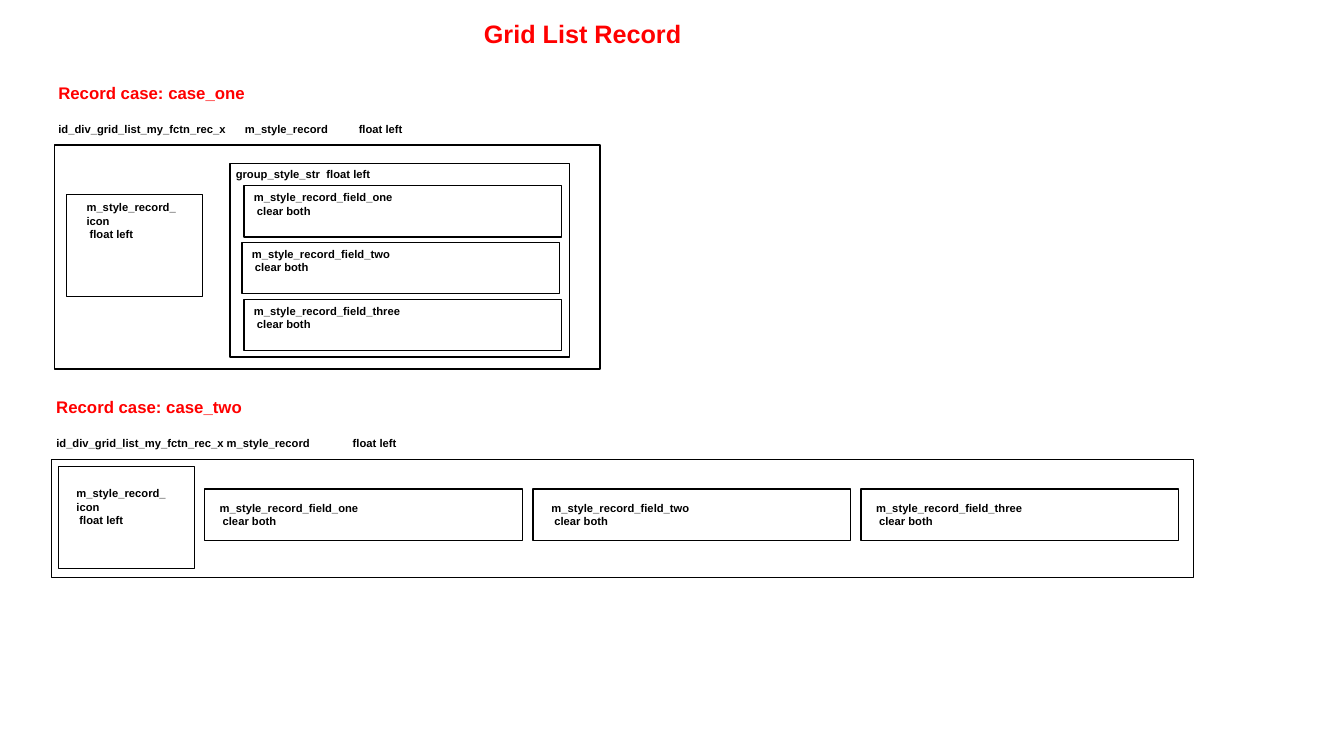
import pptx
import pptx.dml.color
import pptx.enum.shapes
import pptx.enum.text
import pptx.oxml
import pptx.oxml.ns
import pptx.util

Inches = pptx.util.Inches
RED = pptx.dml.color.RGBColor(0xFF, 0x00, 0x00)
BLACK = pptx.dml.color.RGBColor(0x00, 0x00, 0x00)
FIELDS = ("one", "two", "three")
ICON_LINES = ("m_style_record_icon", "float left")


def write(frame, text, *, size=8, color=BLACK, font="Arial", align=None, tabs=()):
    frame.text = text
    for number, paragraph in enumerate(frame.paragraphs):
        paragraph.alignment = align
        paragraph.font.size = pptx.util.Pt(size)
        paragraph.font.bold = True
        for run in paragraph.runs:
            run.font.name = font
            run.font.size = pptx.util.Pt(size)
            run.font.bold = True
            run.font.color.rgb = color
        properties = paragraph._p.get_or_add_pPr()
        if number:
            properties.set("marL", str(Inches(0.03)))
        if tabs:
            stops = pptx.oxml.parse_xml(
                "<a:tabLst %s/>" % pptx.oxml.ns.nsdecls("a"))
            for position in tabs:
                stop = pptx.oxml.parse_xml(
                    "<a:tab %s/>" % pptx.oxml.ns.nsdecls("a"))
                stop.set("pos", str(Inches(position)))
                stop.set("algn", "l")
                stops.append(stop)
            properties.insert_element_before(stops, "a:defRPr", "a:extLst")


class RecordSlide:
    def __init__(self, slide, line_color=BLACK, line_width=1):
        self.shapes = slide.shapes
        self.line_color = line_color
        self.line_width = pptx.util.Pt(line_width)

    def box(self, left, top, width, height):
        outline = self.shapes.add_shape(
            pptx.enum.shapes.MSO_SHAPE.RECTANGLE,
            Inches(left), Inches(top), Inches(width), Inches(height))
        outline.shadow.inherit = False
        outline.fill.background()
        outline.line.color.rgb = self.line_color
        outline.line.width = self.line_width

    def label(self, left, top, width, height, text, margin_right=0.1, **style):
        label = self.shapes.add_textbox(
            Inches(left), Inches(top), Inches(width), Inches(height))
        frame = label.text_frame
        frame.word_wrap = True
        frame.auto_size = pptx.enum.text.MSO_AUTO_SIZE.SHAPE_TO_FIT_TEXT
        frame.margin_right = Inches(margin_right)
        write(frame, text, **style)

    def heading(self, left, top, case):
        self.label(left, top, 3.34, 0.3, f"Record case: {case}", size=12, color=RED)

    def icon(self, box_at, label_at):
        self.box(*box_at, 1.35, 1.01)
        self.label(*label_at, 1.11, 0.5, "\n".join(ICON_LINES))

    def field(self, field, box_at, label_at):
        self.box(*box_at, 3.15, 0.51)
        self.label(*label_at, 2.32, 0.37,
                   f"m_style_record_field_{field}\nclear both")


presentation = pptx.Presentation()
presentation.slide_width = Inches(13.33)
presentation.slide_height = Inches(7.5)
records = RecordSlide(presentation.slides.add_slide(presentation.slide_layouts[6]))

records.label(4.37, 0.13, 2.96, 0.4, "Grid List Record", margin_right=0.24,
              size=18, color=RED, align=pptx.enum.text.PP_ALIGN.CENTER)

records.heading(0.48, 0.77, "case_one")
records.label(0.48, 1.16, 4.95, 0.24,
              "id_div_grid_list_my_fctn_rec_x\tm_style_record\tfloat left",
              tabs=(1.85, 2.98))
records.box(0.54, 1.44, 5.41, 2.22)
records.icon((0.66, 1.93), (0.76, 1.94))
records.box(2.28, 1.62, 3.37, 1.92)
records.label(2.24, 1.61, 2.64, 0.24, "group_style_str\tfloat left", tabs=(0.9,))
for row, (field, left) in enumerate(zip(FIELDS, (2.42, 2.4, 2.42))):
    corner = (left, 1.84 + 0.565 * row)
    records.field(field, corner, corner)

records.heading(0.46, 3.89, "case_two")
records.label(0.46, 4.28, 4.95, 0.24,
              "id_div_grid_list_my_fctn_rec_x m_style_record\tfloat left",
              tabs=(2.94,))
records.box(0.51, 4.56, 11.33, 1.17)
records.icon((0.58, 4.63), (0.66, 4.78))
for column, (field, label_left) in enumerate(zip(FIELDS, (2.08, 5.37, 8.59))):
    records.field(field, (2.03 + 3.255 * column, 4.85), (label_left, 4.92))

presentation.save("out.pptx")
